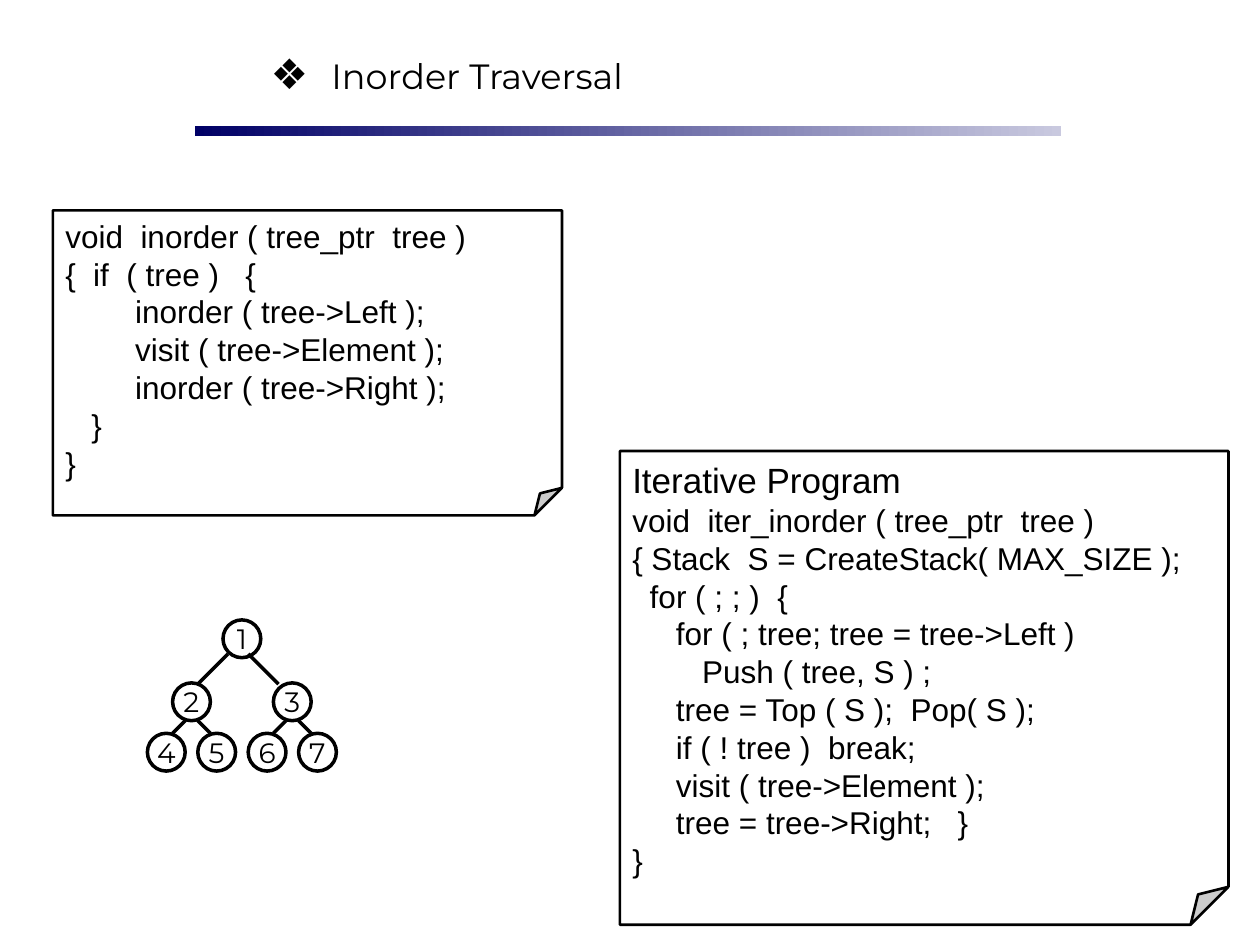
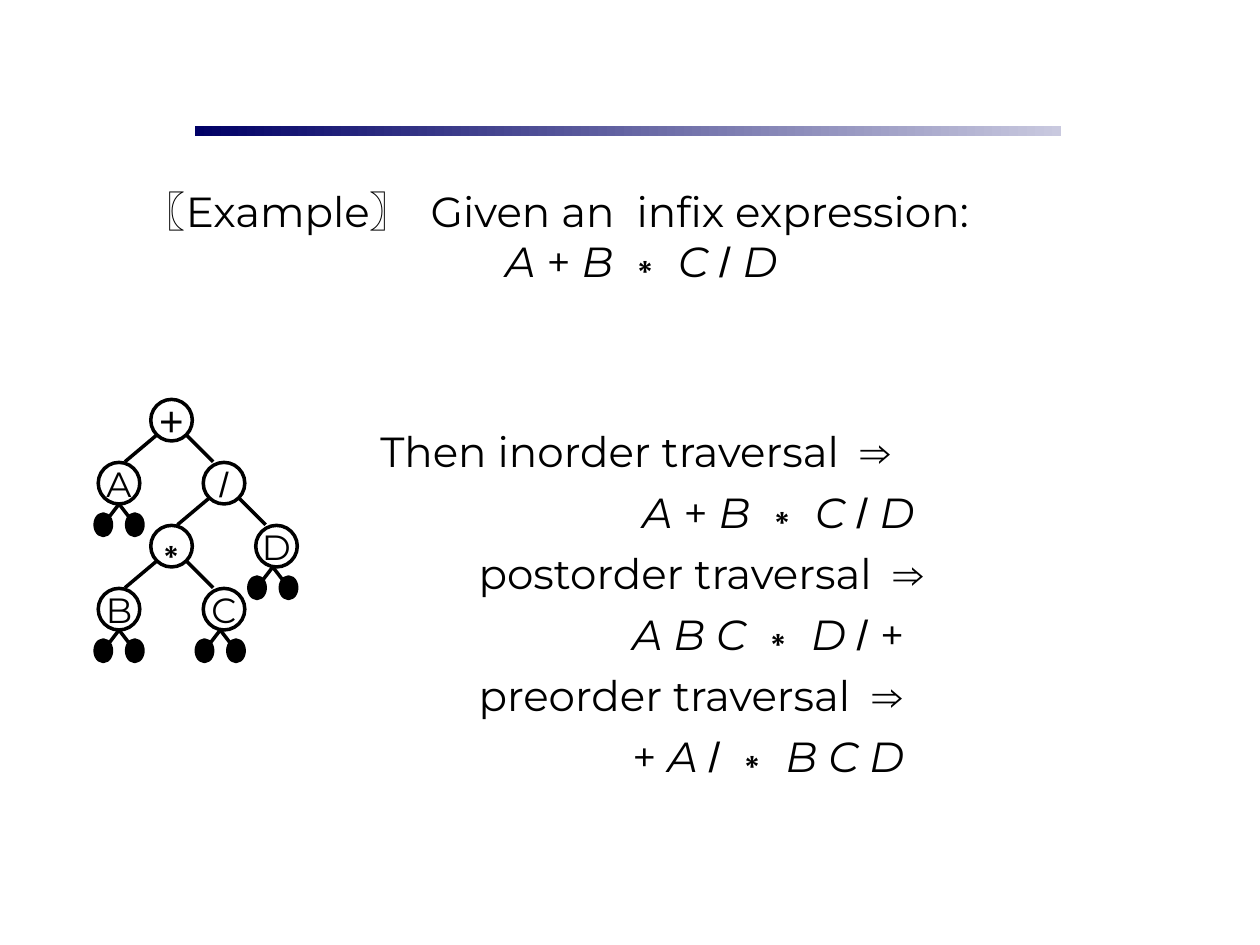
import pptx
import pptx.dml.color
import pptx.enum.shapes
import pptx.enum.text
import pptx.oxml.ns
import pptx.util
from lxml import etree

Inches = pptx.util.Inches
Pt = pptx.util.Pt
qn = pptx.oxml.ns.qn
SHAPE = pptx.enum.shapes.MSO_SHAPE
ALIGN = pptx.enum.text.PP_ALIGN

BLACK, WHITE, NAVY, PALE = "000000", "FFFFFF", "000066", "C9C9DF"
BODY, CODE = "Montserrat", "Arial"
SPACE_24 = 0.09

RECURSIVE = """void  inorder ( tree_ptr  tree )
{  if  ( tree )   {
        inorder ( tree->Left );
        visit ( tree->Element );
        inorder ( tree->Right );
   }
}"""

ITERATIVE = """void  iter_inorder ( tree_ptr  tree )
{ Stack  S = CreateStack( MAX_SIZE );
  for ( ; ; )  {
     for ( ; tree; tree = tree->Left )
        Push ( tree, S ) ;
     tree = Top ( S );  Pop( S );
     if ( ! tree )  break;
     visit ( tree->Element );
     tree = tree->Right;   }
}"""

TRAVERSALS = [
    ("Then inorder", 0, "A + B ∗ C / D", 2.08),
    ("postorder", 0.78, "A B C ∗ D / +", 2),
    ("preorder", 0.78, "+ A / ∗ B C D", 2),
]


def rgb(color):
    """Turn a hex string into a colour."""
    return pptx.dml.color.RGBColor.from_string(color)


def add_run(p, text, size=24, font=BODY, italic=False, color=BLACK):
    """Add one formatted run to a paragraph."""
    r = p.add_run()
    r.text = text
    r.font.size = Pt(size)
    r.font.name = font
    r.font.italic = italic
    r.font.color.rgb = rgb(color)


def add_paragraph(tf, align=ALIGN.LEFT, before=0, left=0, right=0):
    """Start a paragraph, reusing the empty first one."""
    first = tf.paragraphs[0]
    is_first = not first.runs
    p = first if is_first else tf.add_paragraph()
    p.alignment = align
    p.space_before = Pt(0 if is_first else before)
    pPr = p._p.get_or_add_pPr()
    pPr.set("marL", str(int(Inches(left))))
    pPr.set("marR", str(int(Inches(right))))
    return p


def add_expression(p, expression):
    """Write operands in italics and operators upright."""
    tokens = expression.split()
    for i, token in enumerate(tokens):
        gap = " " if i < len(tokens) - 1 else ""
        font = CODE if token in "/∗" else BODY
        add_run(p, token + gap, font=font, italic=token.isalpha())


def add_textbox(s, x, y, w, h):
    """Add a wrapping text box and return its text frame."""
    tf = s.shapes.add_textbox(Inches(x), Inches(y), Inches(w), Inches(h)).text_frame
    tf.word_wrap = True
    return tf


def add_shape(shapes, kind, x, y, w, h, fill=None, line=None, width=2):
    """Add a preset shape without shadow."""
    sp = shapes.add_shape(kind, Inches(x), Inches(y), Inches(w), Inches(h))
    sp.shadow.inherit = False
    if fill:
        sp.fill.solid()
        sp.fill.fore_color.rgb = rgb(fill)
    else:
        sp.fill.background()
    if line:
        sp.line.color.rgb = rgb(line)
        sp.line.width = Pt(width)
    else:
        sp.line.fill.background()
    return sp


def fold_corner(sp, fold):
    """Give a shape the folded corner outline."""
    geom = sp._element.spPr.find(qn("a:prstGeom"))
    geom.set("prst", "foldedCorner")
    guides = geom.find(qn("a:avLst"))
    if guides is None:
        guides = etree.SubElement(geom, qn("a:avLst"))
    etree.SubElement(guides, qn("a:gd"), name="adj", fmla=f"val {round(fold * 100000)}")


def add_line(shapes, x, y, start, end):
    """Draw a line between two offsets from a point."""
    line = shapes.add_connector(
        pptx.enum.shapes.MSO_CONNECTOR.STRAIGHT,
        Inches(x + start[0]), Inches(y + start[1]),
        Inches(x + end[0]), Inches(y + end[1]))
    line.line.color.rgb = rgb(BLACK)
    line.line.width = Pt(2)
    etree.SubElement(line._element.spPr, qn("a:effectLst"))


def add_slide(prs):
    """Add a blank slide with the gradient band."""
    s = prs.slides.add_slide(prs.slide_layouts[6])
    band = add_shape(s.shapes, SHAPE.RECTANGLE, 1.55, 1, 6.87, 0.08)
    band.fill.gradient()
    band.fill.gradient_angle = 0
    for stop, color in zip(band.fill.gradient_stops, (NAVY, PALE)):
        stop.color.rgb = rgb(color)
    return s


def add_code_note(s, x, y, w, h, code, fold, heading=None, wrap=True):
    """Put a code listing on a sheet with a folded corner."""
    sp = add_shape(s.shapes, SHAPE.RECTANGLE, x, y, w, h, WHITE, BLACK, 1.5)
    fold_corner(sp, fold)
    tf = sp.text_frame
    tf.word_wrap = wrap
    tf.vertical_anchor = pptx.enum.text.MSO_ANCHOR.MIDDLE
    if heading:
        add_run(add_paragraph(tf), heading, size=20, font=CODE)
    for text in code.split("\n"):
        add_run(add_paragraph(tf), text, size=18, font=CODE)


def add_node(shapes, x, y, d, label, **style):
    """Draw a labelled circular tree node."""
    sp = add_shape(shapes, SHAPE.OVAL, x, y, d, d, line=BLACK)
    tf = sp.text_frame
    tf.word_wrap = False
    tf.vertical_anchor = pptx.enum.text.MSO_ANCHOR.MIDDLE
    add_run(add_paragraph(tf, ALIGN.CENTER), label, **style)


def add_number_tree(s, x, y):
    """Draw the complete binary tree of seven numbers."""
    shapes = s.shapes.add_group_shape().shapes
    d, step, row_tops = 0.3, 0.4, (0, 0.5, 0.9)
    root_links = [((-0.11, 0.12), (-0.35, 0.36)), ((0.05, 0.12), (0.29, 0.36))]
    inner_links = [((k * 0.05, 0.15), (k * 0.15, 0.25)) for k in (-1, 1)]
    links = (root_links, inner_links, [])
    number = 1
    for level, top in enumerate(row_tops):
        span = step * 2 ** (2 - level)
        for i in range(2 ** level):
            left = x + span * (i + 0.5) - step / 2
            add_node(shapes, left, y + top, d, str(number), size=16)
            for start, end in links[level]:
                add_line(shapes, left + d / 2, y + top + d / 2, start, end)
            number += 1


def add_leaf_pair(shapes, x, y):
    """Hang two black leaves below a point."""
    w, h = 0.13, 0.17
    for side in (-1, 1):
        add_line(shapes, x, y, (0, 0), (side * w, h))
        add_shape(shapes, SHAPE.OVAL, x + (side * 0.25 - w) / 2, y + 0.08,
                  w, h, BLACK, BLACK)


def add_expression_tree(s, x, y):
    """Draw the expression tree with its empty leaves."""
    shapes = s.shapes.add_group_shape().shapes
    d, dx, dy = 0.33, 1.25 / 3, 0.5
    nodes = [("+", 1, 0), ("A", 0, 1), ("/", 2, 1), ("∗", 1, 2),
             ("D", 3, 2), ("B", 0, 3), ("C", 2, 3)]
    links = [((-0.12, 0.12), (-0.37, 0.33)), ((0.12, 0.12), (0.33, 0.33))]
    for label, col, row in nodes:
        left, top = x + col * dx, y + row * dy
        add_node(shapes, left, top, d, label, size=24 if label in "+∗" else 20,
                 font=BODY if label.isalpha() else CODE)
        if label.isalpha():
            apex = left + d / 2 - (0.03 if col else 0)
            add_leaf_pair(shapes, apex, top + d)
        else:
            for start, end in links:
                add_line(shapes, left + d / 2, top + d / 2, start, end)


def add_title(s, x, y, w, h, title):
    """Write the slide title after its diamond mark."""
    p = add_paragraph(add_textbox(s, x, y, w, h), ALIGN.CENTER)
    add_run(p, "❖  ", font=CODE)
    add_run(p, title, size=20)


def add_example(s, x, y, w, h):
    """State the infix expression of the example."""
    tf = add_textbox(s, x, y, w, h)
    p = add_paragraph(tf, ALIGN.CENTER, right=2 * SPACE_24)
    add_run(p, "〖Example〗  Given an  infix expression:")
    p = add_paragraph(tf, ALIGN.CENTER, left=13 * SPACE_24)
    add_expression(p, "A + B ∗ C / D")


def add_traversals(s, x, y, w, h):
    """List each traversal with its result."""
    tf = add_textbox(s, x, y, w, h)
    for name, name_indent, result, result_indent in TRAVERSALS:
        p = add_paragraph(tf, before=6, left=name_indent)
        add_run(p, name + " traversal  ")
        add_run(p, "⇒", font=CODE)
        p = add_paragraph(tf, before=6, left=result_indent)
        add_expression(p, result)


def build_inorder_slide(prs):
    """Build the slide on inorder traversal."""
    s = add_slide(prs)
    add_title(s, 0.92, 0.33, 5.25, 0.5, "Inorder Traversal")
    add_code_note(s, 0.42, 1.67, 4.04, 2.42, RECURSIVE, 0.09)
    add_code_note(s, 4.92, 3.58, 4.83, 3.76, ITERATIVE, 0.08,
                  heading="Iterative Program", wrap=False)
    add_number_tree(s, 1.17, 4.92)


def build_example_slide(prs):
    """Build the slide with the expression tree example."""
    s = add_slide(prs)
    add_example(s, 0.42, 1.42, 8.17, 0.9)
    add_expression_tree(s, 0.78, 3.17)
    add_traversals(s, 2.92, 3.33, 6.08, 2.92)


def main():
    """Build and save the presentation."""
    prs = pptx.Presentation()
    prs.slide_width = Inches(10)
    prs.slide_height = Inches(7.5)
    build_inorder_slide(prs)
    build_example_slide(prs)
    prs.save("out.pptx")


if __name__ == "__main__":
    main()
